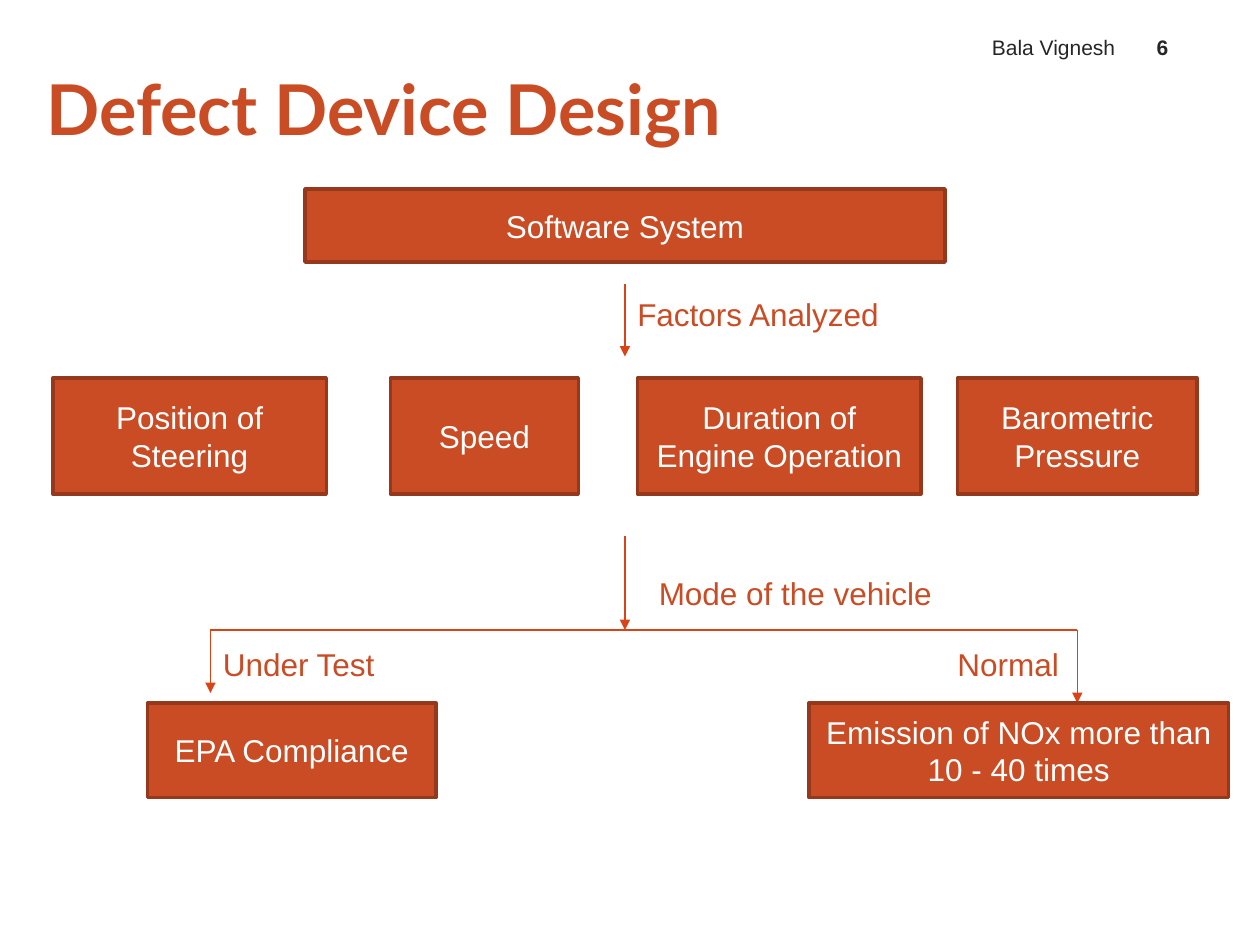
from dataclasses import dataclass

from lxml import etree
from pptx import Presentation
from pptx.dml.color import RGBColor
from pptx.enum.shapes import MSO_CONNECTOR, MSO_SHAPE
from pptx.enum.text import MSO_ANCHOR, MSO_AUTO_SIZE, PP_ALIGN
from pptx.oxml.ns import qn
from pptx.util import Inches, Pt

RECTANGLE = MSO_SHAPE.RECTANGLE
STRAIGHT = MSO_CONNECTOR.STRAIGHT
LEFT, CENTER, RIGHT = PP_ALIGN.LEFT, PP_ALIGN.CENTER, PP_ALIGN.RIGHT
TOP, MIDDLE, BOTTOM = MSO_ANCHOR.TOP, MSO_ANCHOR.MIDDLE, MSO_ANCHOR.BOTTOM
NO_AUTOFIT, GROW = MSO_AUTO_SIZE.NONE, MSO_AUTO_SIZE.SHAPE_TO_FIT_TEXT


@dataclass(frozen=True)
class Theme:
    accent: RGBColor = RGBColor.from_string("C94C25")
    outline: RGBColor = RGBColor.from_string("95381B")
    arrow: RGBColor = RGBColor.from_string("D94315")
    dark: RGBColor = RGBColor.from_string("262626")
    white: RGBColor = RGBColor.from_string("FFFFFF")
    title_font: str = "Lato"
    body_font: str = "Arial"
    title_size: int = 40
    body_size: int = 18
    header_size: int = 12
    outline_width: float = 2
    arrow_width: float = 0.75


class FlowSlide:
    """Holds the theme and the slide that is being built."""

    def __init__(self, slide, theme):
        self.slide = slide
        self.theme = theme

    def add_text(self, frame, text, size, color, font=None, bold=False, align=LEFT):
        paragraph = frame.paragraphs[0]
        paragraph.alignment = align
        run = paragraph.add_run()
        run.text = text
        run.font.name = font or self.theme.body_font
        run.font.size = Pt(size)
        run.font.bold = bold
        run.font.color.rgb = color

    def title(self, text, left, top, width, height):
        title = self.slide.shapes.title
        title.left, title.top = Inches(left), Inches(top)
        title.width, title.height = Inches(width), Inches(height)
        frame = title.text_frame
        frame.auto_size = NO_AUTOFIT
        frame.vertical_anchor = MIDDLE
        frame.margin_left, frame.margin_right = Inches(0.2), 0
        self.add_text(frame, text, self.theme.title_size, self.theme.accent,
                      self.theme.title_font, bold=True)

    def text_frame(self, left, top, width, height, anchor):
        box = self.slide.shapes.add_textbox(
            Inches(left), Inches(top), Inches(width), Inches(height))
        box.text_frame.vertical_anchor = anchor
        return box.text_frame

    def header(self, text, left, width, align, bold=False):
        frame = self.text_frame(left, 0.19, width, 0.33, BOTTOM)
        frame.word_wrap = True
        self.add_text(frame, text, self.theme.header_size, self.theme.dark,
                      bold=bold, align=align)

    def label(self, text, left, top, width):
        frame = self.text_frame(left, top, width, 0.4, TOP)
        frame.word_wrap = False
        frame.auto_size = GROW
        self.add_text(frame, text, self.theme.body_size, self.theme.accent)

    def box(self, text, left, top, width, height):
        box = self.slide.shapes.add_shape(
            RECTANGLE, Inches(left), Inches(top), Inches(width), Inches(height))
        box.shadow.inherit = False
        box.fill.solid()
        box.fill.fore_color.rgb = self.theme.accent
        box.line.color.rgb = self.theme.outline
        box.line.width = Pt(self.theme.outline_width)
        frame = box.text_frame
        frame.word_wrap = True
        frame.vertical_anchor = MIDDLE
        self.add_text(frame, text, self.theme.body_size, self.theme.white,
                      align=CENTER)

    def line(self, x1, y1, x2, y2, arrow=False):
        connector = self.slide.shapes.add_connector(
            STRAIGHT, Inches(x1), Inches(y1), Inches(x2), Inches(y2))
        connector.line.color.rgb = self.theme.arrow
        connector.line.width = Pt(self.theme.arrow_width)
        properties = connector.element.spPr
        if arrow:
            outline = properties.find(qn("a:ln"))
            etree.SubElement(outline, qn("a:tailEnd"), type="triangle")
        etree.SubElement(properties, qn("a:effectLst"))

    def arrow(self, x, top, bottom):
        self.line(x, top, x, bottom, arrow=True)


def main():
    presentation = Presentation()
    presentation.slide_width, presentation.slide_height = Inches(10), Inches(7.5)
    title_only = presentation.slide_layouts[5]
    flow = FlowSlide(presentation.slides.add_slide(title_only), Theme())

    # Title and page header
    flow.title("Defect Device Design", 0.17, 0.42, 6.58, 0.87)
    flow.header("Bala Vignesh", 6.25, 2.7, RIGHT)
    flow.header("6", 8.95, 0.55, CENTER, bold=True)

    # Software system and the factors it analyzes
    trunk_x = 4.96
    flow.box("Software System", 2.42, 1.5, 5.08, 0.58)
    flow.arrow(trunk_x, 2.25, 2.83)
    flow.label("Factors Analyzed", trunk_x, 2.29, 2.14)
    factors = [
        ("Position of Steering", 0.42, 2.17),
        ("Speed", 3.1, 1.49),
        ("Duration of Engine Operation", 5.06, 2.25),
        ("Barometric Pressure", 7.6, 1.9),
    ]
    for factor, left, width in factors:
        flow.box(factor, left, 3, width, 0.92)

    # Split by the mode of the vehicle
    test_x, normal_x, split_y, outcome_y = 1.67, 8.55, 5, 5.58
    flow.arrow(trunk_x, 4.25, split_y)
    flow.label("Mode of the vehicle", 5.13, 4.51, 2.39)
    flow.line(test_x, split_y, normal_x, split_y)
    flow.arrow(test_x, split_y, 5.5)
    flow.arrow(normal_x, split_y, outcome_y)
    flow.label("Under Test", test_x, 5.07, 1.42)
    flow.label("Normal", 7.5, 5.07, 1.02)

    # Outcome of each mode
    flow.box("EPA Compliance", 1.17, outcome_y, 2.29, 0.75)
    flow.box("Emission of NOx more than 10 - 40 times", 6.42, outcome_y, 3.33, 0.75)

    presentation.save("out.pptx")


if __name__ == "__main__":
    main()
